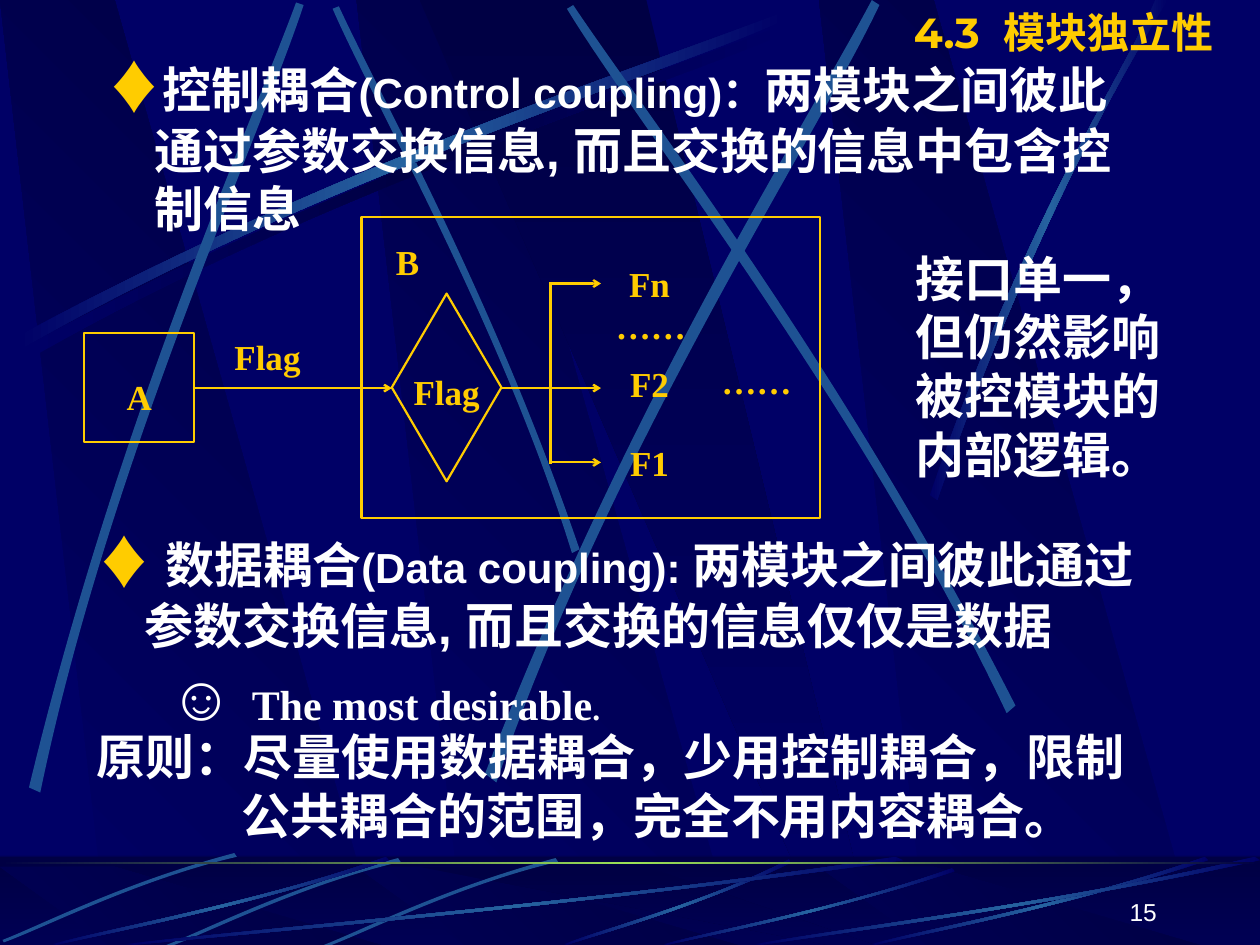
from copy import deepcopy
from lxml.etree import SubElement as Sub
from pptx import Presentation
from pptx.dml.color import RGBColor as RGB
from pptx.enum.shapes import MSO_CONNECTOR as Conn, MSO_SHAPE as Kind
from pptx.enum.text import MSO_ANCHOR as Anchor, PP_ALIGN as Align
from pptx.oxml.ns import qn
from pptx.util import Inches, Pt

NAVY = RGB(0x00, 0x00, 0x66)
DARK = RGB(0x00, 0x00, 0x44)
BLUE = RGB(0x26, 0x63, 0xA0)
STEEL = RGB(0x1E, 0x52, 0x93)
LIME = RGB(0x9C, 0xE1, 0x57)
GOLD = RGB(0xFF, 0xCC, 0x00)
WHITE = RGB(0xFF, 0xFF, 0xFF)

SANS = "Arial"
SERIF = "Times New Roman"
GLOW = (NAVY, BLUE, NAVY)
SHADE = (NAVY, DARK, NAVY)

PANEL = [(0.86, 1), (3.02, 1), (0.91, 0), (0, 0)]
WEDGE = [(3.33, 0), (6.58, 1), (6.94, 1), (5.13, 0)]
SWEEP = [(0.14, 2.67), (2.78, 1.25), (5.18, 0.51), (6.2, 0.1),
         (6.23, 0.16), (5.22, 0.61), (2.48, 1.43), (0.17, 2.77)]
RAYS = [
    [(4.6, 4.36), (3.91, 2.34), (3.02, 0.77), (2.69, 0.05),
     (2.64, 0.07), (2.95, 0.79), (3.98, 2.58), (4.54, 4.39)],
    [(0.23, 6.25), (0.93, 3.34), (1.97, 1.05), (2.35, 0.02),
     (2.41, 0.04), (2.07, 1.08), (0.86, 3.68), (0.32, 6.29)],
    [(3.85, 6.14), (4.98, 3.2), (6.38, 1.02), (6.92, 0),
     (6.98, 0.04), (6.49, 1.08), (4.86, 3.55), (3.94, 6.21)],
    [(8.06, 5.6), (6.7, 2.93), (5.16, 0.95), (4.55, 0.04),
     (4.5, 0.07), (5.07, 1.01), (6.85, 3.25), (7.99, 5.66)],
]
EDGE = [(7.38, 3.93), (8.14, 1.73), (8.88, 0.66), (9.17, 0),
        (9.27, 0), (8.36, 1.45), (7.69, 3.22), (7.44, 3.97)]
BLADE = [(1.86, 6.77), (0.99, 7), (0.33, 7.34), (0.02, 7.46),
         (0.03, 7.48), (0.34, 7.37), (1.1, 6.98), (1.88, 6.8)]
ARC = [(1, 0.04), (0.57, 0.57), (0.18, 0.85), (0.01, 1),
       (0, 0.99), (0.17, 0.81), (0.62, 0.51), (0.99, 0)]


def shift(pts, dx=0, dy=0, sx=1, sy=1):
    return [(dx + x * sx, dy + y * sy) for x, y in pts]


def paint(shape, tones, angle=0):
    shape.shadow.inherit = False
    shape.line.fill.background()
    fill = shape.fill
    if len(tones) == 1:
        fill.solid()
        fill.fore_color.rgb = tones[0]
        return
    fill.gradient()
    fill.gradient_angle = angle
    stops = shape._element.spPr.find(qn("a:gradFill")).find(qn("a:gsLst"))
    if len(tones) == 3:
        stops.insert(1, deepcopy(stops[0]))
    for i, (stop, tone) in enumerate(zip(fill.gradient_stops, tones)):
        stop.color.rgb = tone
        stop.position = i / (len(tones) - 1)


def free(slide, pts, tones, angle=0):
    spots = [(Inches(x), Inches(y)) for x, y in pts]
    pen = slide.shapes.build_freeform(*spots[0])
    pen.add_line_segments(spots[1:], close=True)
    shape = pen.convert_to_shape()
    paint(shape, tones, angle)
    return shape


def ribbon(slide, pts, tones):
    shape = free(slide, pts, tones)
    legs = list(shape._element.spPr.iter(qn("a:lnTo")))
    for trio in (legs[:3], legs[4:]):
        bend = trio[0]
        curve = bend.makeelement(qn("a:cubicBezTo"))
        bend.addprevious(curve)
        for leg in trio:
            curve.append(leg[0])
            leg.getparent().remove(leg)


def block(slide, area, kind=Kind.RECTANGLE):
    return slide.shapes.add_shape(kind, *map(Inches, area))


def frame(slide, area, kind=Kind.RECTANGLE):
    shape = block(slide, area, kind)
    shape.shadow.inherit = False
    shape.fill.background()
    shape.line.color.rgb = GOLD
    shape.line.width = Pt(1.25)
    return shape


def link(slide, x1, y1, x2, y2, arrow=True):
    line = slide.shapes.add_connector(
        Conn.STRAIGHT, *map(Inches, (x1, y1, x2, y2)))
    line.line.color.rgb = GOLD
    line.line.width = Pt(1.25)
    props = line._element.spPr
    if arrow:
        Sub(props.find(qn("a:ln")), qn("a:tailEnd"), type="arrow",
            w="sm", len="sm")
    Sub(props, qn("a:effectLst"))


def text(slide, area, runs, shape=None, size=20, font=SERIF, color=GOLD,
         bold=True, align=Align.LEFT, anchor=Anchor.TOP, space=None,
         hang=0, pad=(0.1, 0.05)):
    shape = shape or slide.shapes.add_textbox(*map(Inches, area))
    body = shape.text_frame
    body.word_wrap = True
    body.vertical_anchor = anchor
    body.margin_left = body.margin_right = Inches(pad[0])
    body.margin_top = body.margin_bottom = Inches(pad[1])
    para = body.paragraphs[0]
    para.alignment = align
    if space:
        para.line_spacing = space
    if hang:
        props = para._p.get_or_add_pPr()
        props.set("marL", str(Inches(hang)))
        props.set("indent", str(-Inches(hang)))
    for words, own in [(runs, {})] if isinstance(runs, str) else runs:
        run = para.add_run()
        run.text = words
        run.font.size = Pt(own.get("size", size))
        run.font.name = own.get("font", font)
        run.font.bold = bold
        run.font.color.rgb = own.get("color", color)


def panels(slide, top, tall):
    for x in (2.83, 0, 6.5):
        free(slide, shift(PANEL, x, top, 1, tall), (NAVY, DARK), 45)
    free(slide, shift(WEDGE, 0, top, 1, tall), (DARK, NAVY), 270)


def scene(slide):
    back = slide.background.fill
    back.solid()
    back.fore_color.rgb = NAVY
    panels(slide, 0, 7.5)
    ribbon(slide, shift(SWEEP, 0.06, 0.08), SHADE)
    ribbon(slide, RAYS[0], (STEEL,))
    ribbon(slide, SWEEP, GLOW)
    for ray in RAYS[1:]:
        ribbon(slide, ray, (STEEL,))
    ribbon(slide, EDGE, GLOW)

    paint(block(slide, (0, 6.8, 10, 0.7)), (DARK, NAVY), 270)
    panels(slide, 6.88, 0.62)
    veil = block(slide, (0, 6.79, 10, 0.71))
    paint(veil, (DARK,))
    Sub(next(veil._element.spPr.iter(qn("a:srgbClr"))),
        qn("a:alpha"), val="50000")
    ribbon(slide, shift(ARC, 4.48, 6.82, 1.8, 0.68), GLOW)
    for dx, dy in ((2.55, 0.04), (1.3, 0.04), (0, 0)):
        ribbon(slide, shift(BLADE, dx, dy), (STEEL,))
    for x, y, wide in ((1, 6.8, 6.17), (0.42, 6.8, 2.67),
                       (5.27, 6.89, 2.31), (6.92, 6.8, 2.67), (6, 6.8, 4)):
        ribbon(slide, shift(ARC, x, y, wide, 7.5 - y), GLOW)
    paint(block(slide, (0, 6.84, 10, 0.02)), (DARK, LIME, DARK))


def point(slide, area, mark, name, term, rest):
    text(slide, area, [
        (mark, {"size": 32, "color": GOLD}), (name, {}),
        (term, {"size": 24}), (rest, {}),
    ], size=28, font=SANS, color=WHITE, hang=0.38)


def chart(slide):
    mid = Align.CENTER
    text(slide, None, "A", shape=frame(slide, (0.67, 2.64, 0.87, 0.87)),
         align=mid, space=2, pad=(0.1, 0.01))
    text(slide, (2.88, 1.5, 0.71, 0.79), "B", align=mid, space=2.2,
         pad=(0.02, 0.01))
    frame(slide, (3.11, 2.33, 0.87, 1.49), Kind.DIAMOND)
    text(slide, (3.11, 2.83, 0.87, 0.57), "Flag", align=mid, space=1.3,
         pad=(0.06, 0.01))
    link(slide, 3.98, 3.08, 4.77, 3.08)
    for name, y in (("F2", 2.8), ("F1", 3.43), ("Fn", 2.01)):
        text(slide, (4.76, y, 0.79, 0.47), name, align=mid, space=1.2,
             pad=(0.1, 0.01))
    text(slide, (4.77, 2.41, 0.79, 0.43), "……", align=mid, pad=(0.02, 0.01))
    for y in (2.25, 3.67):
        link(slide, 4.37, y, 4.77, y)
    link(slide, 4.37, 2.24, 4.37, 3.68, arrow=False)
    text(slide, (5.63, 2.8, 1.17, 0.65), "……", align=Align.JUSTIFY)
    frame(slide, (2.87, 1.72, 3.64, 2.39))
    link(slide, 1.53, 3.08, 3.11, 3.08)
    text(slide, (1.84, 2.52, 0.71, 0.55), "Flag", align=Align.JUSTIFY,
         space=1.4, pad=(0.02, 0.01))


def main():
    deck = Presentation()
    deck.slide_width, deck.slide_height = Inches(10), Inches(7.5)
    slide = deck.slides.add_slide(deck.slide_layouts[6])
    scene(slide)
    text(slide, (7.2, 6.9, 2.08, 0.5), "15", size=14, font=SANS, color=WHITE,
         bold=False, align=Align.RIGHT, anchor=Anchor.BOTTOM)
    point(slide, (0.75, 0.37, 8.5, 1.57), "♦", "控制耦合",
          "(Control coupling)：",
          "两模块之间彼此通过参数交换信息, 而且交换的信息中包含控制信息")
    chart(slide)
    text(slide, (7.17, 1.92, 2.25, 1.97),
         "接口单一，但仍然影响被控模块的内部逻辑。", size=28, color=WHITE)
    point(slide, (0.67, 4.14, 8.5, 1), "♦ ", "数据耦合", "(Data coupling): ",
          "两模块之间彼此通过参数交换信息, 而且交换的信息仅仅是数据")
    text(slide, (1.25, 5.17, 5.58, 0.7), [
        ("☺ ", {"size": 36, "font": SANS}), ("The most desirable", {}),
        (".", {"size": 18}),
    ], size=24, color=WHITE)
    text(slide, (0.67, 5.72, 8.42, 1.04),
         "原则：尽量使用数据耦合，少用控制耦合，限制公共耦合的范围，"
         "完全不用内容耦合。", size=28, color=WHITE, hang=1.15)
    text(slide, (6.81, 0, 2.92, 0.5), "4.3  模块独立性", size=24,
         font="Montserrat", align=Align.RIGHT, anchor=Anchor.MIDDLE)
    deck.save("out.pptx")


if __name__ == "__main__":
    main()
